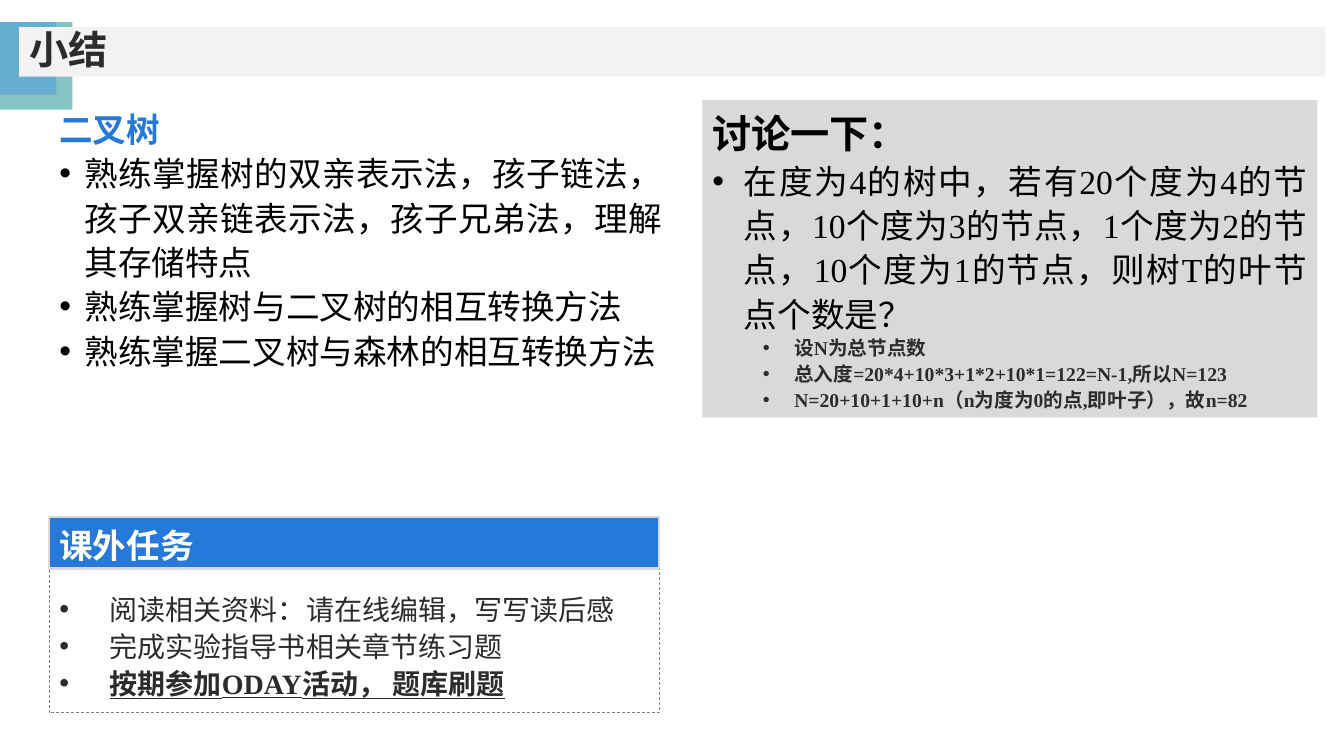
"""Build the summary slide on binary trees with a discussion box and homework card."""
from lxml.etree import SubElement
from pptx import Presentation
from pptx.dml.color import RGBColor
from pptx.enum.dml import MSO_LINE
from pptx.enum.shapes import MSO_SHAPE as Shape
from pptx.enum.text import MSO_ANCHOR as Anchor, PP_ALIGN as Align
from pptx.oxml.ns import qn
from pptx.util import Pt

DARK, BLACK, BLUE, WHITE = "2C2C2C", "000000", "2679D9", "FFFFFF"
SERIF, SANS, CHINESE = "Times New Roman", "Arial", "Noto Sans CJK SC"

STYLES = {
    "title": dict(size=28, font=SANS, color=DARK, bold=True, spacing=0.9),
    "topic": dict(size=24, font=CHINESE, color=BLUE, bold=True, justify=True),
    "point": dict(size=24, color=BLACK, indent=18, justify=True),
    "prompt": dict(size=28, color=BLACK, bold=True),
    "question": dict(size=24, color=BLACK, indent=22.5, justify=True),
    "answer": dict(size=14, color=DARK, bold=True, level=1, margin=58.5, indent=22.5, justify=True),
    "task": dict(size=20, color=DARK, indent=36),
    "key task": dict(size=20, color=DARK, bold=True, underline=True, indent=36),
    "card title": dict(size=24, font=SANS, color=WHITE, bold=True),
}
TITLE = [("title", "小结")]
SUMMARY = [
    ("topic", "二叉树"),
    ("point", "熟练掌握树的双亲表示法，孩子链法，孩子双亲链表示法，孩子兄弟法，理解其存储特点"),
    ("point", "熟练掌握树与二叉树的相互转换方法"),
    ("point", "熟练掌握二叉树与森林的相互转换方法"),
]
DISCUSSION = [
    ("prompt", "讨论一下："),
    ("question", "在度为4的树中，若有20个度为4的节点，10个度为3的节点，1个度为2的节点，10个度为1的节点，则树T的叶节点个数是？"),
    ("answer", "设N为总节点数"),
    ("answer", "总入度=20*4+10*3+1*2+10*1=122=N-1,所以N=123"),
    ("answer", "N=20+10+1+10+n（n为度为0的点,即叶子），故n=82"),
]
TASKS = [
    ("task", "阅读相关资料：请在线编辑，写写读后感"),
    ("task", "完成实验指导书相关章节练习题"),
    ("key task", "按期参加ODAY活动， 题库刷题"),
]
CARD_TITLE = [("card title", "课外任务")]
LEFT, TOP, CARD_WIDTH = 35.3, 71.3, 435.6


def paint(target, color):
    """Give a fill or line format a solid colour."""
    target.solid()
    target.fore_color.rgb = RGBColor.from_string(color)


def add_block(page, place, color, line=None):
    """Add a flat rectangle, optionally outlined with (colour, width, dash)."""
    block = page.shapes.add_shape(Shape.RECTANGLE, *map(Pt, place))
    block.shadow.inherit = False
    paint(block.fill, color)
    if line:
        paint(block.line.fill, line[0])
        block.line.width = Pt(line[1])
        block.line.dash_style = line[2]
    else:
        block.line.fill.background()
    return block


def add_bullet(para, margin, indent):
    """Hang a round bullet in front of a paragraph."""
    props = para._p.get_or_add_pPr()
    props.set("marL", str(Pt(margin)))
    props.set("indent", str(-Pt(indent)))
    SubElement(props, qn("a:buFont")).set("typeface", SANS)
    SubElement(props, qn("a:buChar")).set("char", "•")


def write(box, content, anchor=Anchor.TOP, inset=3.6):
    """Fill a box with styled paragraphs."""
    frame = box.text_frame
    frame.word_wrap = True
    frame.vertical_anchor = anchor
    frame.margin_top = Pt(inset)
    for index, (name, text) in enumerate(content):
        style = STYLES[name]
        para = frame.add_paragraph() if index else frame.paragraphs[0]
        para.level = style.get("level", 0)
        para.alignment = Align.JUSTIFY if style.get("justify") else Align.LEFT
        para.line_spacing = style.get("spacing", 1.1)
        if "indent" in style:
            add_bullet(para, style.get("margin", style["indent"]), style["indent"])
        span = para.add_run()
        span.text = text
        span.font.size = Pt(style["size"])
        span.font.bold = style.get("bold", False)
        span.font.underline = style.get("underline", False)
        span.font.name = style.get("font", SERIF)
        paint(span.font.fill, style["color"])
        SubElement(span.font._element, qn("a:ea")).set("typeface", CHINESE)


def main():
    """Lay out the slide and save it."""
    deck = Presentation()
    deck.slide_width, deck.slide_height = Pt(960), Pt(540)
    page = deck.slides.add_slide(deck.slide_layouts[6])

    add_block(page, (0, 15.8, 51.8, 62.6), "84C4C3")
    add_block(page, (0, 15.8, 40.3, 51.8), "65AECF")
    write(add_block(page, (13.7, 19.4, 933.1, 35.3), "F2F2F2"), TITLE, Anchor.MIDDLE)

    summary = page.shapes.add_textbox(*map(Pt, (LEFT, TOP, 445, 207.4)))
    write(summary, SUMMARY)
    write(add_block(page, (501.8, TOP, 439.2, 226.8), "D9D9D9"), DISCUSSION)

    card = add_block(page, (LEFT, 380.2, CARD_WIDTH, 128.9), WHITE, ("808080", 0.5, MSO_LINE.DASH))
    write(card, TASKS, inset=40.6)
    header = add_block(page, (LEFT, 369.4, CARD_WIDTH, 36.7), BLUE, ("D9D9D9", 1.5, MSO_LINE.SOLID))
    write(header, CARD_TITLE, Anchor.MIDDLE)
    deck.save("out.pptx")


if __name__ == "__main__":
    main()
